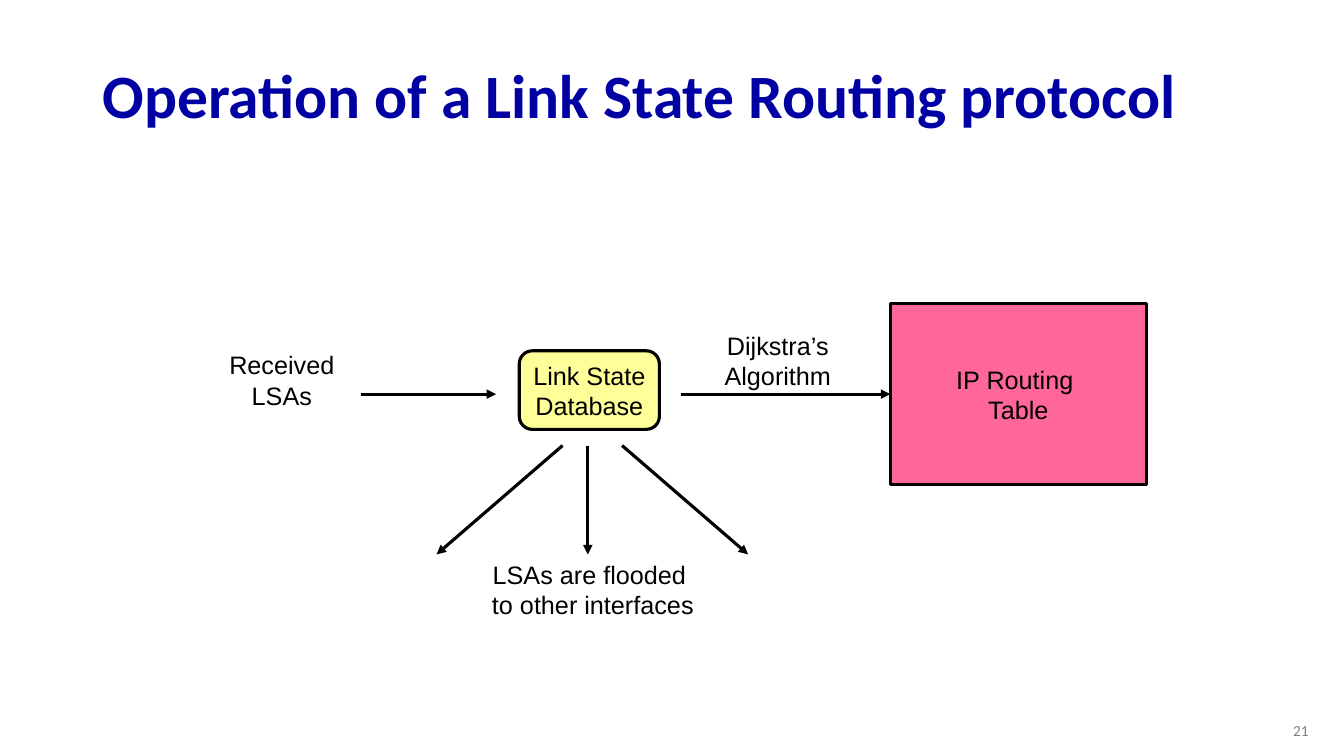
import pptx
import pptx.dml.color
import pptx.enum.shapes
import pptx.enum.text
import pptx.oxml
import pptx.oxml.ns
import pptx.util

Inches = pptx.util.Inches
Pt = pptx.util.Pt
Align = pptx.enum.text.PP_ALIGN
Anchor = pptx.enum.text.MSO_ANCHOR
Shape = pptx.enum.shapes.MSO_SHAPE

FLOW_Y = 3.91
FAN_TOP, FAN_BOTTOM = 4.42, 5.5


def color(hex_string):
    return pptx.dml.color.RGBColor.from_string(hex_string)


def drawing_element(tag, **attributes):
    """Make an empty element in the DrawingML namespace."""
    element = pptx.oxml.parse_xml(f"<a:{tag} {pptx.oxml.ns.nsdecls('a')}/>")
    for name, value in attributes.items():
        element.set(name, value)
    return element


class DiagramSlide:
    label_style = {"name": "Arial", "size": Pt(18), "bold": False}
    ink = "000000"
    line_width = Pt(2.25)

    def __init__(self, presentation):
        self.slide = presentation.slides.add_slide(presentation.slide_layouts[6])

    def fill_text(self, shape, text, style=None, ink=None, align=Align.CENTER,
                  anchor=Anchor.TOP, wrap=False, line_spacing=None):
        """Put text in a shape; a list gives one paragraph per item."""
        frame = shape.text_frame
        frame.word_wrap = wrap
        frame.vertical_anchor = anchor
        lines = [text] if isinstance(text, str) else text
        for index, line in enumerate(lines):
            paragraph = frame.add_paragraph() if index else frame.paragraphs[0]
            paragraph.text = line
            paragraph.alignment = align
            paragraph.line_spacing = line_spacing
            for run in paragraph.runs:
                for name, value in (style or self.label_style).items():
                    setattr(run.font, name, value)
                run.font.color.rgb = color(ink or self.ink)

    def text(self, box, text, **options):
        shape = self.slide.shapes.add_textbox(*map(Inches, box))
        self.fill_text(shape, text, **options)

    def block(self, kind, box, fill, text):
        shape = self.slide.shapes.add_shape(kind, *map(Inches, box))
        shape.shadow.inherit = False
        shape.fill.solid()
        shape.fill.fore_color.rgb = color(fill)
        shape.line.color.rgb = color(self.ink)
        shape.line.width = self.line_width
        self.fill_text(shape, text, anchor=Anchor.MIDDLE)
        return shape

    def arrow(self, start, end, target=None, site=1):
        """Draw an arrow, joined to a side of the target if there is one."""
        connector = self.slide.shapes.add_connector(
            pptx.enum.shapes.MSO_CONNECTOR.STRAIGHT, *map(Inches, start + end))
        connector.line.color.rgb = color(self.ink)
        connector.line.width = self.line_width
        properties = connector._element.spPr
        properties.find(pptx.oxml.ns.qn("a:ln")).append(
            drawing_element("tailEnd", type="triangle"))
        properties.append(drawing_element("effectLst"))
        if target is not None:
            connector.end_connect(target, site)


def main():
    presentation = pptx.Presentation()
    presentation.slide_width = Inches(13.33)
    presentation.slide_height = Inches(7.5)
    diagram = DiagramSlide(presentation)

    diagram.text((0.92, 0.49, 11.5, 0.98), "Operation of a Link State Routing protocol",
                 style={"name": "Calibri", "size": Pt(44), "bold": True}, ink="0000A3",
                 align=Align.LEFT, anchor=Anchor.MIDDLE, wrap=True, line_spacing=0.9)
    diagram.text((10.08, 7.05, 3, 0.4), "21",
                 style={"name": "Calibri", "size": Pt(11)}, ink="808080",
                 align=Align.RIGHT, anchor=Anchor.MIDDLE, wrap=True)

    routing_table = diagram.block(Shape.RECTANGLE, (8.83, FLOW_Y - 0.9, 2.54, 1.8),
                                  "FF6699", "IP Routing \nTable")
    diagram.block(Shape.ROUNDED_RECTANGLE, (5.15, 3.48, 1.39, 0.78),
                  "FFFF99", "Link State\nDatabase")

    diagram.text((2.17, 3.42, 1.25, 0.71), "Received\nLSAs")
    diagram.text((7.08, 3.23, 1.27, 0.71), ["Dijkstra’s", "Algorithm"])
    diagram.text((4.77, 5.5, 2.22, 0.71), "LSAs are flooded \nto other interfaces")

    diagram.arrow((3.58, FLOW_Y), (4.92, FLOW_Y))
    diagram.arrow((6.75, FLOW_Y), (8.83, FLOW_Y), target=routing_table)
    for start_x, end_x in ((5.58, 4.33), (5.83, 5.83), (6.17, 7.42)):
        diagram.arrow((start_x, FAN_TOP), (end_x, FAN_BOTTOM))

    presentation.save("out.pptx")


if __name__ == "__main__":
    main()
